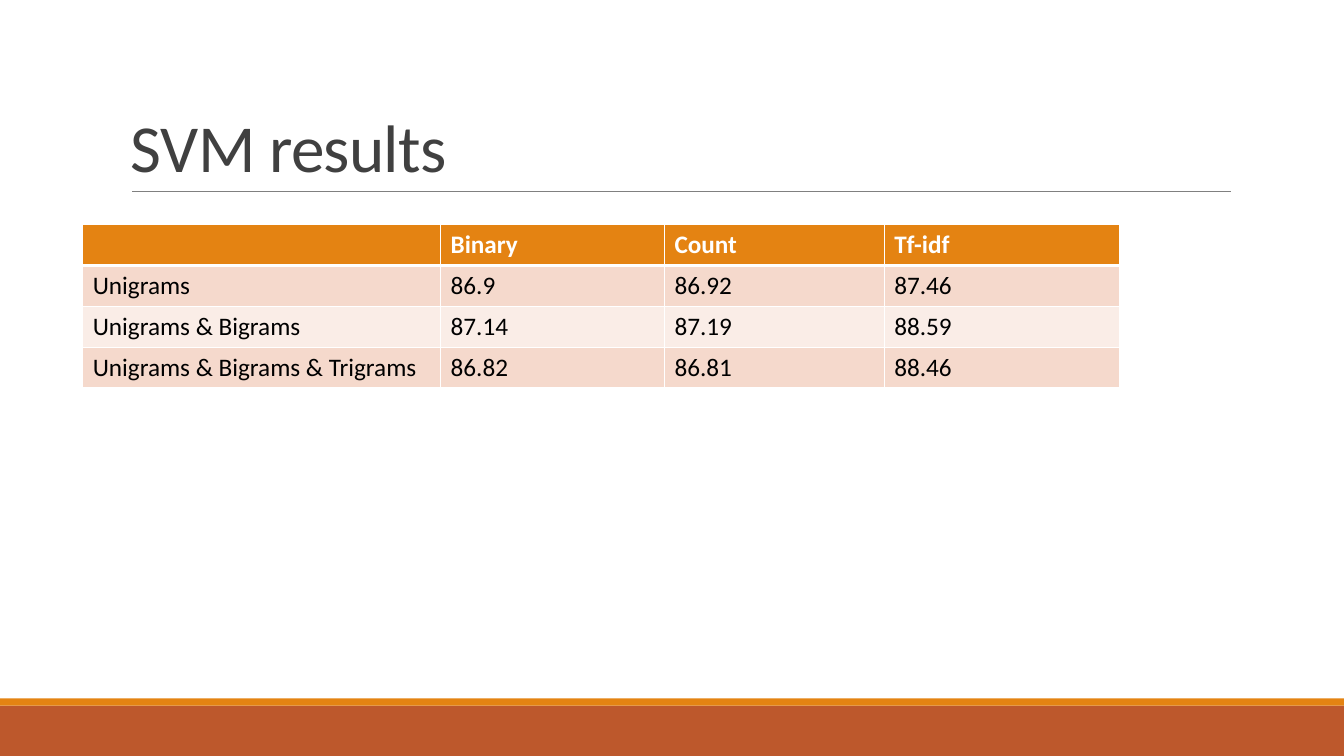
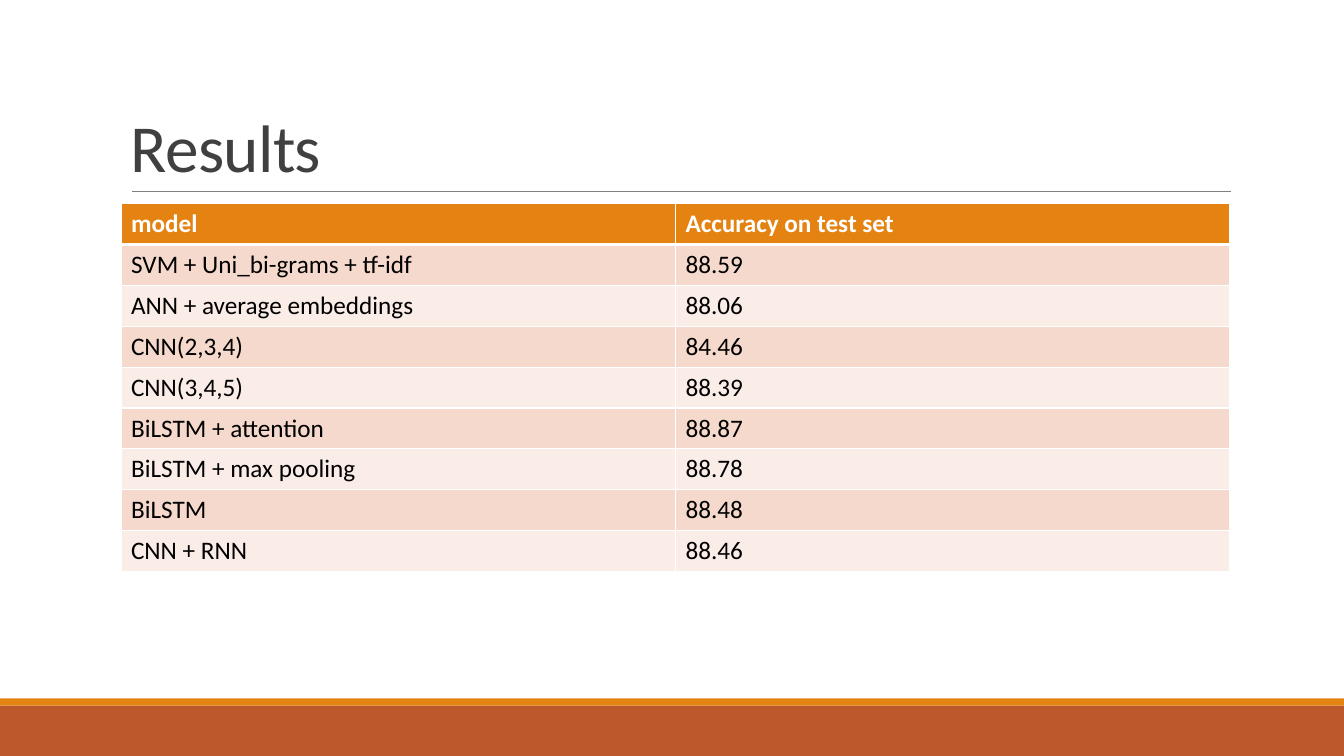
from dataclasses import dataclass

from lxml import etree
from pptx import Presentation
from pptx.dml.color import RGBColor
from pptx.enum.shapes import MSO_CONNECTOR, MSO_SHAPE
from pptx.enum.text import MSO_ANCHOR
from pptx.oxml.ns import qn
from pptx.presentation import Presentation as Deck
from pptx.slide import Slide
from pptx.table import _Cell as Cell
from pptx.util import Inches, Pt

RECTANGLE = MSO_SHAPE.RECTANGLE
STRAIGHT = MSO_CONNECTOR.STRAIGHT
BOTTOM = MSO_ANCHOR.BOTTOM

FONT = "Calibri"
COLORS = {
    "orange": "E48312",
    "rust": "BD582C",
    "rule": "808080",
    "title": "404040",
    "body": "000000",
    "white": "FFFFFF",
    "dark_row": "F5D9CC",
    "light_row": "FAEDE7",
}
SLIDE_WIDTH, SLIDE_HEIGHT = 13.33, 7.5
BORDER, HEADER_BORDER = 1, 3


@dataclass(frozen=True)
class Band:
    top: float
    height: float
    color: str


@dataclass(frozen=True)
class ResultPage:
    title: str
    left: float
    top: float
    height: float
    column_widths: tuple[float, ...]
    rows: tuple[tuple[str, ...], ...]


BANDS = (Band(7, 0.5, "rust"), Band(6.93, 0.07, "orange"))

PAGES = (
    ResultPage(
        "SVM results", 0.82, 2.23, 1.62, (3.55, 2.22, 2.18, 2.33),
        (
            ("", "Binary", "Count", "Tf-idf"),
            ("Unigrams", "86.9", "86.92", "87.46"),
            ("Unigrams & Bigrams", "87.14", "87.19", "88.59"),
            ("Unigrams & Bigrams & Trigrams", "86.82", "86.81", "88.46"),
        ),
    ),
    ResultPage(
        "Results", 1.2, 2.02, 3.65, (5.5, 5.5),
        (
            ("model", "Accuracy on test set"),
            ("SVM + Uni_bi-grams + tf-idf", "88.59"),
            ("ANN + average embeddings", "88.06"),
            ("CNN(2,3,4)", "84.46"),
            ("CNN(3,4,5)", "88.39"),
            ("BiLSTM + attention", "88.87"),
            ("BiLSTM + max pooling", "88.78"),
            ("BiLSTM", "88.48"),
            ("CNN + RNN", "88.46"),
        ),
    ),
)


def rgb(name: str) -> RGBColor:
    return RGBColor.from_string(COLORS[name])


def add_bands(page: Slide) -> None:
    for band in BANDS:
        shape = page.shapes.add_shape(
            RECTANGLE, 0, Inches(band.top), Inches(SLIDE_WIDTH), Inches(band.height)
        )
        shape.shadow.inherit = False
        shape.fill.solid()
        shape.fill.fore_color.rgb = rgb(band.color)
        shape.line.fill.background()


def add_title_rule(page: Slide) -> None:
    rule = page.shapes.add_connector(
        STRAIGHT, Inches(1.31), Inches(1.9), Inches(12.21), Inches(1.9)
    )
    rule.line.color.rgb = rgb("rule")
    rule.line.width = Pt(0.5)
    etree.SubElement(rule._element.spPr, qn("a:effectLst"))


def add_title(page: Slide, title: str) -> None:
    box = page.shapes.add_textbox(Inches(1.2), Inches(0.31), Inches(11), Inches(1.59))
    frame = box.text_frame
    frame.word_wrap = True
    frame.vertical_anchor = BOTTOM
    frame.text = title
    para = frame.paragraphs[0]
    para.line_spacing = 0.85
    span = para.runs[0]
    span.font.name = FONT
    span.font.size = Pt(48)
    span.font.color.rgb = rgb("title")
    span._r.get_or_add_rPr().set("spc", "-50")


def set_borders(cell: Cell, top: float, bottom: float) -> None:
    """Draw white borders; they must come before the fill in the cell's XML."""
    properties = cell._tc.get_or_add_tcPr()
    widths = {"lnL": BORDER, "lnR": BORDER, "lnT": top, "lnB": bottom}
    for position, (side, width) in enumerate(widths.items()):
        line = etree.Element(qn(f"a:{side}"), w=str(Pt(width)))
        fill = etree.SubElement(line, qn("a:solidFill"))
        etree.SubElement(fill, qn("a:srgbClr"), val=COLORS["white"])
        properties.insert(position, line)


def fill_cell(cell: Cell, text: str, row_index: int) -> None:
    is_header = row_index == 0
    cell.text_frame.text = text
    for span in cell.text_frame.paragraphs[0].runs:
        span.font.name = FONT
        span.font.size = Pt(18)
        span.font.bold = is_header
        span.font.color.rgb = rgb("white" if is_header else "body")
    row_color = "dark_row" if row_index % 2 else "light_row"
    cell.fill.solid()
    cell.fill.fore_color.rgb = rgb("orange" if is_header else row_color)
    set_borders(
        cell,
        top=HEADER_BORDER if row_index == 1 else BORDER,
        bottom=HEADER_BORDER if is_header else BORDER,
    )


def add_result_table(page: Slide, content: ResultPage) -> None:
    widths = content.column_widths
    table = page.shapes.add_table(
        len(content.rows), len(widths),
        Inches(content.left), Inches(content.top),
        Inches(sum(widths)), Inches(content.height),
    ).table
    for column, width in zip(table.columns, widths):
        column.width = Inches(width)
    for row_index, row in enumerate(content.rows):
        for column_index, text in enumerate(row):
            fill_cell(table.cell(row_index, column_index), text, row_index)


def add_page(deck: Deck, content: ResultPage) -> None:
    page = deck.slides.add_slide(deck.slide_layouts[6])
    add_bands(page)
    add_title_rule(page)
    add_title(page, content.title)
    add_result_table(page, content)


def main() -> None:
    deck = Presentation()
    deck.slide_width = Inches(SLIDE_WIDTH)
    deck.slide_height = Inches(SLIDE_HEIGHT)
    for content in PAGES:
        add_page(deck, content)
    deck.save("out.pptx")


if __name__ == "__main__":
    main()
